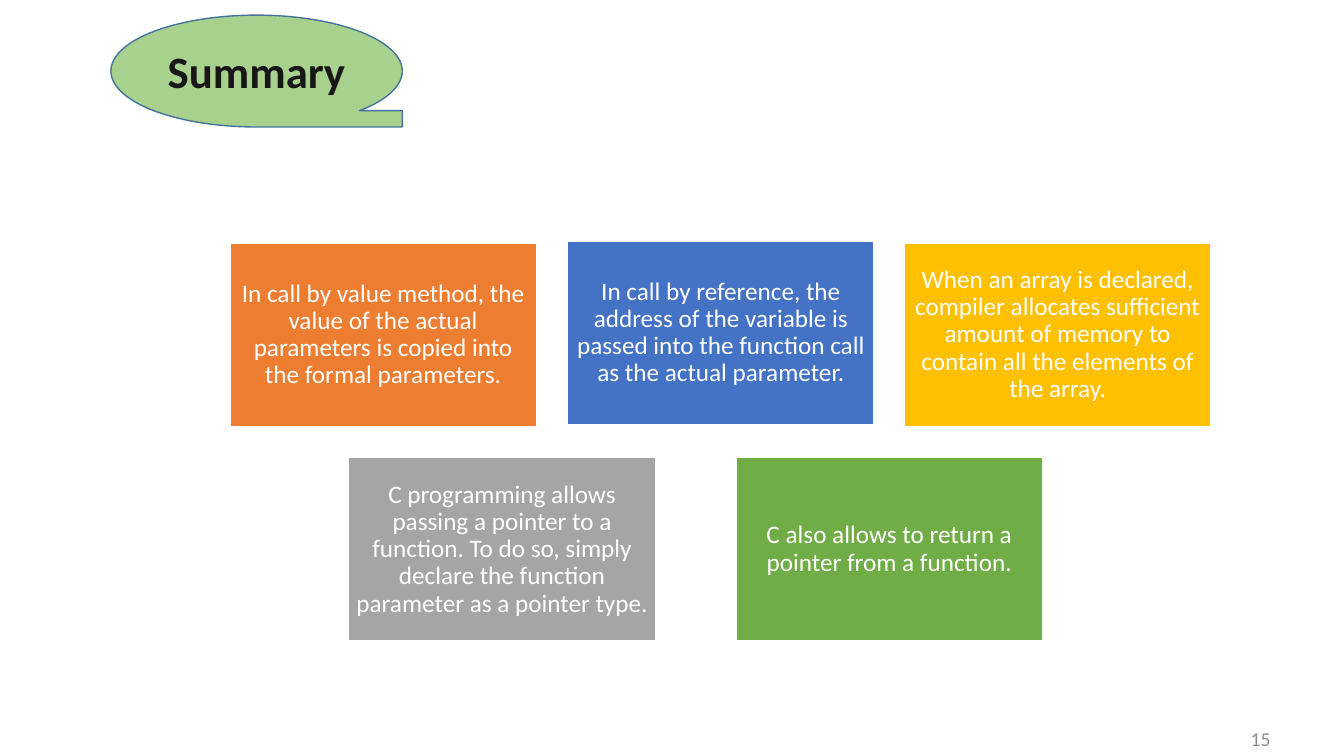
from dataclasses import dataclass

from pptx import Presentation
from pptx.dml.color import RGBColor
from pptx.enum.shapes import MSO_SHAPE
from pptx.enum.text import MSO_ANCHOR, PP_ALIGN
from pptx.shapes.autoshape import Shape
from pptx.slide import Slide
from pptx.util import Emu, Pt

RECTANGLE = MSO_SHAPE.RECTANGLE
MAGNETIC_TAPE = MSO_SHAPE.FLOWCHART_SEQUENTIAL_ACCESS_STORAGE
MIDDLE = MSO_ANCHOR.MIDDLE
CENTER = PP_ALIGN.CENTER
RIGHT = PP_ALIGN.RIGHT

EMU_PER_PX = 9144  # 100 px to the inch
FONT_NAME = "Calibri"
CARD_WIDTH, CARD_HEIGHT = 304, 182
CARD_INSET = 7

WHITE = RGBColor(0xFF, 0xFF, 0xFF)
NEAR_BLACK = RGBColor(0x18, 0x17, 0x17)
PAGE_GRAY = RGBColor(0x8C, 0x8C, 0x8C)
TITLE_GREEN = RGBColor(0xA9, 0xD1, 0x8E)
TITLE_OUTLINE = RGBColor(0x43, 0x73, 0x9E)
ORANGE = RGBColor(0xED, 0x7D, 0x31)
BLUE = RGBColor(0x44, 0x72, 0xC4)
GOLD = RGBColor(0xFF, 0xC0, 0x00)
GRAY = RGBColor(0xA5, 0xA5, 0xA5)
GREEN = RGBColor(0x70, 0xAD, 0x47)


@dataclass(frozen=True)
class Card:
    left: int
    top: int
    fill: RGBColor
    text: str


CARDS = (
    Card(228, 241, ORANGE, "In call by value method, the value of the actual "
         "parameters is copied into the formal parameters."),
    Card(563, 239, BLUE, "In call by reference, the address of the variable is "
         "passed into the function call as the actual parameter."),
    Card(897, 241, GOLD, "When an array is declared, compiler allocates sufficient "
         "amount of memory to contain all the elements of the array."),
    Card(346, 454, GRAY, "C programming allows passing a pointer to a function. "
         "To do so, simply declare the function parameter as a pointer type."),
    Card(730, 454, GREEN, "C also allows to return a pointer from a function."),
)


def px(length: int) -> Emu:
    return Emu(length * EMU_PER_PX)


def set_text(shape: Shape, text: str, size: int, color: RGBColor,
             alignment: PP_ALIGN = CENTER, bold: bool = False) -> None:
    frame = shape.text_frame
    frame.word_wrap = True
    frame.vertical_anchor = MIDDLE
    paragraph = frame.paragraphs[0]
    paragraph.text = text
    paragraph.alignment = alignment
    font = paragraph.font
    font.name = FONT_NAME
    font.size = Pt(size)
    font.bold = bold
    font.color.rgb = color


def add_filled_shape(slide: Slide, kind: MSO_SHAPE, left: int, top: int, width: int,
                     height: int, fill: RGBColor, outline: RGBColor) -> Shape:
    shape = slide.shapes.add_shape(kind, px(left), px(top), px(width), px(height))
    shape.shadow.inherit = False
    shape.fill.solid()
    shape.fill.fore_color.rgb = fill
    shape.line.color.rgb = outline
    shape.line.width = Pt(1)
    return shape


def add_card(slide: Slide, card: Card) -> None:
    shape = add_filled_shape(slide, RECTANGLE, card.left, card.top,
                             CARD_WIDTH, CARD_HEIGHT, card.fill, WHITE)
    frame = shape.text_frame
    frame.margin_left = frame.margin_right = px(CARD_INSET)
    frame.margin_top = frame.margin_bottom = px(CARD_INSET)
    set_text(shape, card.text, 18, WHITE)
    frame.paragraphs[0].line_spacing = 0.9


def add_page_number(slide: Slide, number: int) -> None:
    box = slide.shapes.add_textbox(px(1046), px(730), px(224), px(5))
    box.text_frame.margin_top = box.text_frame.margin_bottom = 0
    set_text(box, str(number), 14, PAGE_GRAY, RIGHT)


def main() -> None:
    presentation = Presentation()
    presentation.slide_width = px(1333)
    presentation.slide_height = px(750)
    slide = presentation.slides.add_slide(presentation.slide_layouts[6])

    add_page_number(slide, 15)
    title = add_filled_shape(slide, MAGNETIC_TAPE, 110, 15, 289, 111,
                             TITLE_GREEN, TITLE_OUTLINE)
    set_text(title, "Summary", 32, NEAR_BLACK, bold=True)
    for card in CARDS:
        add_card(slide, card)

    presentation.save("out.pptx")


if __name__ == "__main__":
    main()
